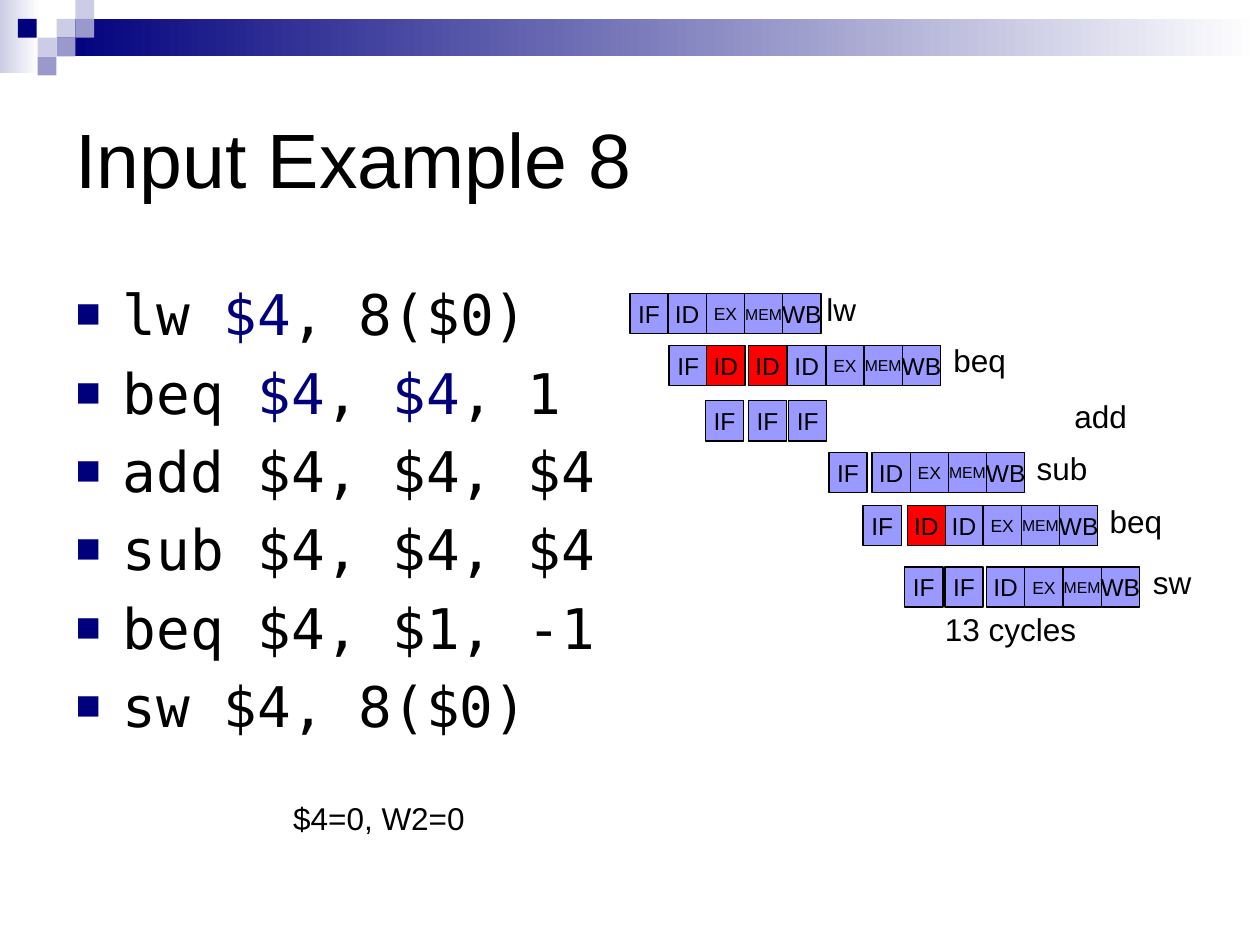
from pptx import Presentation
from pptx.dml.color import RGBColor
from pptx.enum.shapes import MSO_SHAPE as Shape
from pptx.enum.text import MSO_ANCHOR as Anchor, MSO_AUTO_SIZE as AutoSize, PP_ALIGN as Align
from pptx.oxml import parse_xml
from pptx.oxml.ns import nsdecls
from pptx.util import Cm, Pt

NAVY, LAVENDER, SLATE = "00007D", "CCCCE6", "9999CC"
STAGE, STALL, BLACK, WHITE = "9999FF", "FF0000", "000000", "FFFFFF"
STAGE_WIDTH, STAGE_HEIGHT = 0.77, 0.81
STAGE_SIZES = {"EX": 10, "MEM": 9}


def color(value):
    return RGBColor.from_string(value)


class SlideBuilder:
    sans, mono = "Arial", "DejaVu Sans Mono"

    def __init__(self, page):
        self.page = page

    def style(self, para, size, font=sans):
        para.font.name = font
        para.font.size = Pt(size)
        para.font.color.rgb = color(BLACK)

    def place(self, box, left, top, width, height):
        box.left, box.top, box.width, box.height = map(Cm, (left, top, width, height))

    def rect(self, left, top, width, height, fill, fade_to=None):
        box = self.page.shapes.add_shape(
            Shape.RECTANGLE, Cm(left), Cm(top), Cm(width), Cm(height))
        box.shadow.inherit = False
        box.line.fill.background()
        if fade_to:
            box.fill.gradient()
            box.fill.gradient_angle = 0
            for stop, shade in zip(box.fill.gradient_stops, (fill, fade_to)):
                stop.color.rgb = color(shade)
        else:
            box.fill.solid()
            box.fill.fore_color.rgb = color(fill)
        return box

    def stage(self, left, top, name, fill):
        box = self.rect(left, top, STAGE_WIDTH, STAGE_HEIGHT, fill)
        box.line.color.rgb = color(BLACK)
        box.line.width = Pt(0.75)
        frame = box.text_frame
        frame.word_wrap = False
        frame.vertical_anchor = Anchor.MIDDLE
        para = frame.paragraphs[0]
        para.text = name
        para.alignment = Align.CENTER
        self.style(para, STAGE_SIZES.get(name, 14))

    def stages(self, left, top, names, fill=STAGE):
        for index, name in enumerate(names.split()):
            self.stage(left + index * STAGE_WIDTH, top, name, fill)

    def label(self, left, top, width, text):
        box = self.page.shapes.add_textbox(Cm(left), Cm(top), Cm(width), Cm(1.02))
        box.text_frame.word_wrap = False
        para = box.text_frame.paragraphs[0]
        para.text = text
        self.style(para, 18)

    def title(self, text):
        box = self.page.shapes.title
        self.place(box, 1.27, 1.27, 22.86, 3.81)
        box.text_frame.vertical_anchor = Anchor.MIDDLE
        para = box.text_frame.paragraphs[0]
        para.text = text
        para.alignment = Align.LEFT
        self.style(para, 44)

    def code_list(self, lines):
        """Fill the body; every second part between bars is navy."""
        box = self.page.placeholders[1]
        self.place(box, 1.27, 5.51, 22.86, 10.8)
        frame = box.text_frame
        frame.auto_size = AutoSize.NONE
        for index, line in enumerate(lines):
            para = frame.add_paragraph() if index else frame.paragraphs[0]
            self.style(para, 32, self.mono)
            for part, text in enumerate(line.split("|")):
                span = para.add_run()
                span.text = text
                if part % 2:
                    span.font.color.rgb = color(NAVY)
            self.bullet(para)

    def bullet(self, para):
        props = para._p.get_or_add_pPr()
        props.set("marL", str(Cm(0.95)))
        props.set("indent", str(Cm(-0.95)))
        marks = (f'<a:buClr {nsdecls("a")}><a:srgbClr val="{NAVY}"/></a:buClr>',
                 f'<a:buSzPct {nsdecls("a")} val="75000"/>',
                 f'<a:buFont {nsdecls("a")} typeface="{self.sans}"/>',
                 f'<a:buChar {nsdecls("a")} char="■"/>')
        for place, mark in enumerate(marks):
            # Bullet marks come before the default run properties
            props.insert(place, parse_xml(mark))


# Top, groups of stages (left, names, fill), label (left, width, text)
PIPELINE = [
    (5.92, [(12.7, "IF ID EX MEM WB", STAGE)], (16.41, 1.12, "lw")),
    (6.96, [(13.49, "IF", STAGE), (15.88, "ID EX MEM WB", STAGE),
            (14.25, "ID", STALL), (15.09, "ID", STALL)], (18.97, 1.57, "beq")),
    (8.08, [(14.22, "IF", STAGE), (15.09, "IF", STAGE), (15.9, "IF", STAGE)],
     (21.41, 1.57, "add")),
    (9.12, [(16.71, "IF", STAGE), (17.58, "ID EX MEM WB", STAGE)], (20.65, 1.55, "sub")),
    (10.19, [(17.4, "IF", STAGE), (19.05, "ID EX MEM WB", STAGE),
             (18.29, "ID", STALL)], (22.12, 1.57, "beq")),
    (11.43, [(18.24, "IF", STAGE), (19.05, "IF", STAGE),
             (19.89, "ID EX MEM WB", STAGE)], (22.99, 1.3, "sw")),
]


def main():
    deck = Presentation()
    deck.slide_width, deck.slide_height = Cm(25.4), Cm(19.05)
    slide = SlideBuilder(deck.slides.add_slide(deck.slide_layouts[1]))

    # Header band and squares
    slide.rect(0, 0, 0.79, 1.47, LAVENDER, WHITE)
    slide.rect(1.14, 0.38, 24.26, 0.76, NAVY, WHITE)
    square = 0.38
    for left, top, fill in [(1.14, 0.38, LAVENDER), (1.52, 0, LAVENDER),
                            (1.52, 0.38, SLATE), (0.76, 0.76, LAVENDER),
                            (0.36, 0.38, NAVY), (1.14, 0.76, SLATE),
                            (0.76, 1.14, SLATE)]:
        slide.rect(left, top, square, square, fill)

    # Title and program
    slide.title("Input Example 8")
    slide.code_list(["lw |$4|, 8($0)", "beq |$4|, |$4|, 1", "add $4, $4, $4",
                     "sub $4, $4, $4", "beq $4, $1, -1", "sw $4, 8($0)"])

    # Pipeline diagram
    for top, groups, (left, width, text) in PIPELINE:
        for start, names, fill in groups:
            slide.stages(start, top, names, fill)
        slide.label(left, top - 0.2, width, text)

    # Results
    slide.label(18.8, 12.17, 3.18, "13 cycles")
    slide.label(5.66, 15.98, 4.01, "$4=0, W2=0")

    deck.save("out.pptx")


if __name__ == "__main__":
    main()
